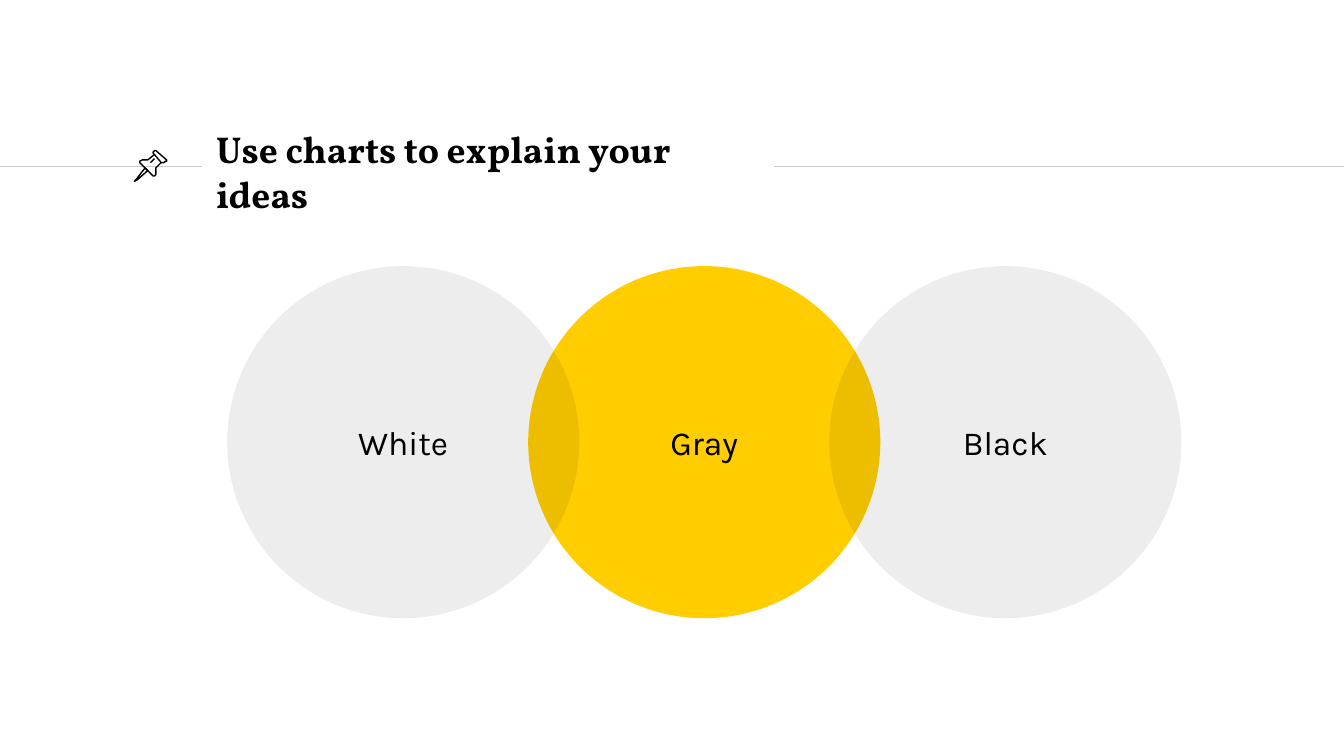
import dataclasses

import pptx
import pptx.dml.color
import pptx.enum.shapes
import pptx.enum.text
import pptx.oxml
import pptx.oxml.ns
import pptx.util

WIDE = 10
HIGH = WIDE * 9 / 16
RULE = 1.24
SIZE, STEP = 2.62, 2.24
LEFT, TOP = 1.69, 1.98
PIN = [
    ([(108, 125), (101, 134), (100, 135), (102, 134), (110, 127)], True),
    ([(115, 115), (120, 121), (122, 121), (123, 120.5), (124, 120),
      (124, 119), (116, 112), (115, 112), (114, 113), (114, 114)], True),
    ([(115, 115), (110, 119), (108, 119), (106, 119), (104, 120),
      (104, 121), (114, 131), (115, 131), (116, 130), (116.5, 128),
      (116, 125), (120, 121)], False),
    ([(112, 121), (115, 118)], False),
]


@dataclasses.dataclass
class Theme:
    """Colours, fonts and type sizes of the slide."""
    ink: str = "000000"
    rule: str = "CCCCCC"
    gold: str = "FFCD00"
    head: str = "Vollkorn"
    body: str = "Karla"
    title: int = 20
    label: int = 18
    line: float = 0.75
    veil: int = 7


THEME = Theme()


def tint(code):
    """Return a colour from its hex code."""
    return pptx.dml.color.RGBColor.from_string(code)


def inch(*sizes):
    """Return the given lengths in inches."""
    return [pptx.util.Inches(size) for size in sizes]


def write(shape, text, face, size, bold=False, align=None):
    """Put middle-anchored text in a shape."""
    frame = shape.text_frame
    frame.text = text
    frame.word_wrap = True
    frame.vertical_anchor = pptx.enum.text.MSO_ANCHOR.MIDDLE
    frame.margin_left = frame.margin_right = pptx.util.Inches(0.1)
    frame.margin_top = frame.margin_bottom = pptx.util.Inches(0.1)
    para = frame.paragraphs[0]
    para.alignment = align
    font = para.runs[0].font
    font.name, font.size, font.bold = face, pptx.util.Pt(size), bold
    font.color.rgb = tint(THEME.ink)


def rule(slide, start, end):
    """Draw a level rule across the title row."""
    kind = pptx.enum.shapes.MSO_CONNECTOR.STRAIGHT
    line = slide.shapes.add_connector(kind, *inch(start, RULE, end, RULE))
    line.line.color.rgb = tint(THEME.rule)
    line.line.width = pptx.util.Pt(THEME.line)
    props = line._element.spPr
    props.append(pptx.oxml.parse_xml(
        "<a:effectLst %s/>" % pptx.oxml.ns.nsdecls("a")))


def title(slide, text):
    """Add the slide title between the rules."""
    box = slide.shapes.add_textbox(*inch(1.51, 1.03, 4.24, 0.48))
    write(box, text, THEME.head, THEME.title, bold=True)


def disc(slide, col, text, fill, alpha=None):
    """Add a labelled circle in a column, at alpha percent opacity."""
    kind = pptx.enum.shapes.MSO_SHAPE.OVAL
    place = inch(LEFT + col * STEP, TOP, SIZE, SIZE)
    shape = slide.shapes.add_shape(kind, *place)
    shape.shadow.inherit = False
    shape.fill.solid()
    shape.fill.fore_color.rgb = tint(fill)
    shape.line.fill.background()
    if alpha:
        code = shape._element.spPr.find(".//" + pptx.oxml.ns.qn("a:srgbClr"))
        code.append(pptx.oxml.parse_xml('<a:alpha %s val="%d"/>' % (
            pptx.oxml.ns.nsdecls("a"), alpha * 1000)))
    write(shape, text, THEME.body, THEME.label,
          align=pptx.enum.text.PP_ALIGN.CENTER)


def pin(slide):
    """Draw the outlined pushpin as one group."""
    group = slide.shapes.add_group_shape()
    unit = pptx.util.Inches(0.01)
    for dots, close in PIN:
        build = group.shapes.build_freeform(*dots[0], scale=unit)
        build.add_line_segments(dots[1:], close=close)
        shape = build.convert_to_shape()
        shape.shadow.inherit = False
        shape.fill.background()
        shape.line.color.rgb = tint(THEME.ink)
        shape.line.width = pptx.util.Pt(THEME.line)


def main():
    """Build and save the slide."""
    deck = pptx.Presentation()
    deck.slide_width, deck.slide_height = inch(WIDE, HIGH)
    slide = deck.slides.add_slide(deck.slide_layouts[6])
    rule(slide, 0, 1.5)
    rule(slide, 5.76, WIDE)
    title(slide, "Use charts to explain your ideas")
    disc(slide, 1, "Gray", THEME.gold)
    disc(slide, 0, "White", THEME.ink, THEME.veil)
    disc(slide, 2, "Black", THEME.ink, THEME.veil)
    pin(slide)
    deck.save("out.pptx")


if __name__ == "__main__":
    main()
